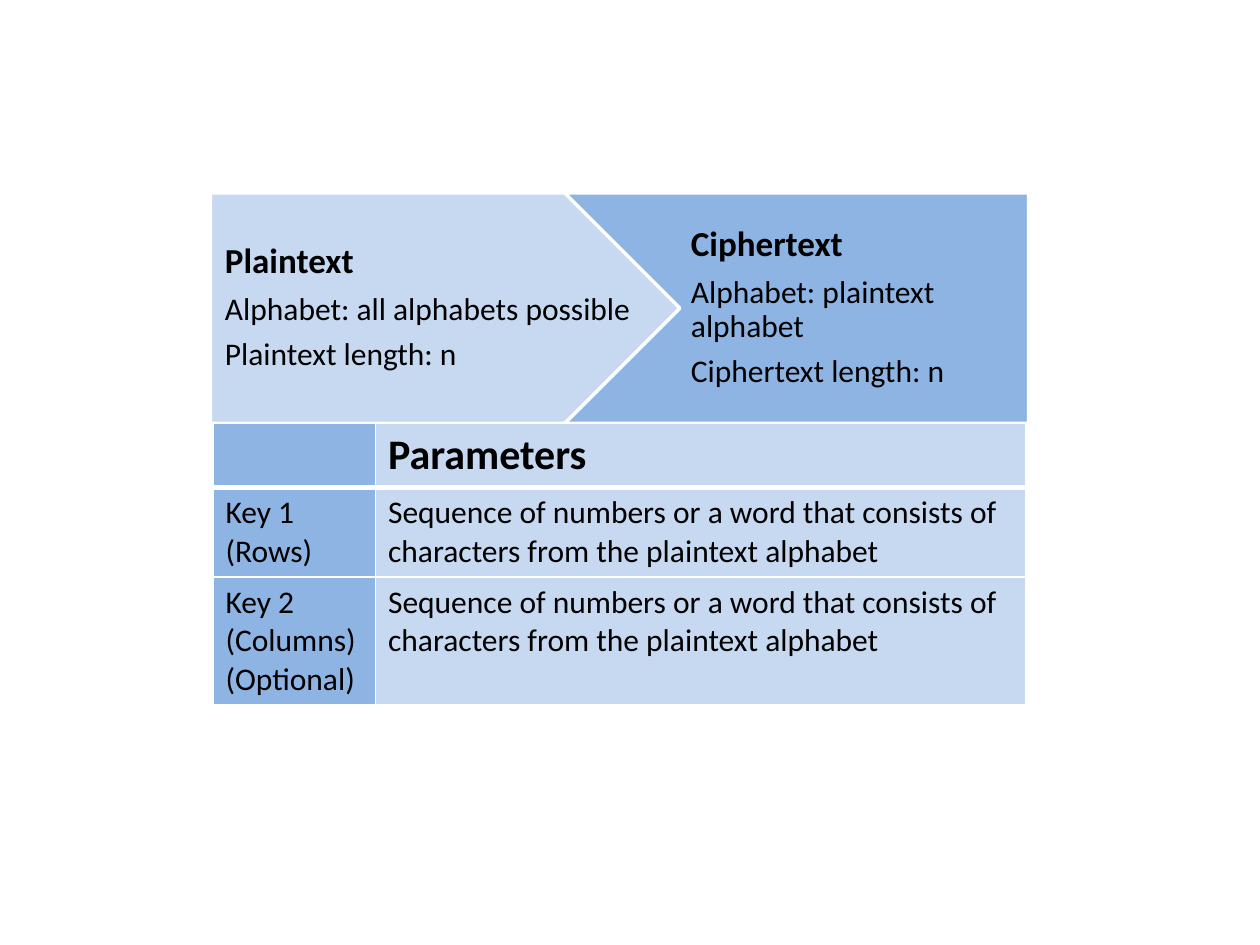
from dataclasses import dataclass

from lxml import etree
from pptx import Presentation
from pptx import util as u
from pptx.dml import color
from pptx.enum import shapes, text
from pptx.oxml import ns

COLORS = {"light": "C6D9F1", "mid": "8EB4E3", "white": "FFFFFF", "black": "000000"}
FONT = "Calibri"
BODY_SIZE = 18
THIN, THICK = 0.96, 3


@dataclass
class Arrow:
    kind: shapes.MSO_SHAPE
    left: float
    width: float
    fill: str
    left_inset: float
    title: str
    details: list[str]


@dataclass
class Row:
    height: float
    key: str
    value: str
    size: int = BODY_SIZE
    bold: bool = False
    top: float = THIN
    bottom: float = THIN


ARROW_TOP, ARROW_HEIGHT = 110.2, 131.8
ARROWS = [
    Arrow(shapes.MSO_SHAPE.PENTAGON, 120.2, 283.7, "light", 8.4, "Plaintext",
          ["Alphabet: all alphabets possible", "Plaintext length: n"]),
    Arrow(shapes.MSO_SHAPE.CHEVRON, 322.6, 331.9, "mid", 6.3, "Ciphertext",
          ["Alphabet: plaintext alphabet", "Ciphertext length: n"]),
]

KEY_RULE = ("Sequence of numbers or a word that consists of "
            "characters from the plaintext alphabet")
COLUMNS = [92.9, 371.6]
ROWS = [
    Row(33.8, "", "Parameters", size=24, bold=True, bottom=THICK),
    Row(29.5, "Key 1\n(Rows)", KEY_RULE, top=THICK),
    Row(29.5, "Key 2\n(Columns)\n(Optional)", KEY_RULE),
]


def rgb(name: str) -> color.RGBColor:
    return color.RGBColor.from_string(COLORS[name])


def write(para, words: str, size: float, bold: bool = False) -> None:
    para.text = words
    para.alignment = text.PP_ALIGN.LEFT
    para.font.name = FONT
    para.font.size = u.Pt(size)
    para.font.bold = bold
    para.font.color.rgb = rgb("black")


def draw_arrow(group, arrow: Arrow) -> None:
    shape = group.shapes.add_shape(arrow.kind, u.Pt(arrow.left), u.Pt(ARROW_TOP),
                                   u.Pt(arrow.width), u.Pt(ARROW_HEIGHT))
    shape.adjustments[0] = 0.5
    shape.shadow.inherit = False
    shape.fill.solid()
    shape.fill.fore_color.rgb = rgb(arrow.fill)
    shape.line.color.rgb = rgb("white")
    shape.line.width = u.Pt(2)

    frame = shape.text_frame
    frame.word_wrap = True
    frame.vertical_anchor = text.MSO_ANCHOR.MIDDLE
    frame.margin_left, frame.margin_right = u.Pt(arrow.left_inset), u.Pt(2.1)
    frame.margin_top = frame.margin_bottom = u.Pt(4.2)
    for index, words in enumerate([arrow.title, *arrow.details]):
        is_title = index == 0
        para = frame.paragraphs[0] if is_title else frame.add_paragraph()
        write(para, words, 20 if is_title else BODY_SIZE, is_title)
        para.line_spacing = 0.9
        para.space_after = u.Pt(7 if is_title else 6.3)


def add_borders(cell, row: Row) -> None:
    properties = cell._tc.get_or_add_tcPr()
    for side, width in zip("LRTB", (THIN, THIN, row.top, row.bottom)):
        line = etree.SubElement(properties, ns.qn(f"a:ln{side}"), w=str(int(u.Pt(width))))
        fill = etree.SubElement(line, ns.qn("a:solidFill"))
        etree.SubElement(fill, ns.qn("a:srgbClr"), val=COLORS["white"])


def draw_table(page, rows: list[Row]) -> None:
    table = page.shapes.add_table(
        len(rows), len(COLUMNS), u.Pt(121.7), u.Pt(ARROW_TOP + ARROW_HEIGHT),
        u.Pt(sum(COLUMNS)), u.Pt(sum(row.height for row in rows))).table
    table.first_row = table.horz_banding = False
    for column, width in zip(table.columns, COLUMNS):
        column.width = u.Pt(width)
    for index, row in enumerate(rows):
        table.rows[index].height = u.Pt(row.height)
        for cell, words, fill in zip(table.rows[index].cells,
                                     (row.key, row.value), ("mid", "light")):
            # Borders go before the fill in the cell properties
            add_borders(cell, row)
            cell.fill.solid()
            cell.fill.fore_color.rgb = rgb(fill)
            write(cell.text_frame.paragraphs[0], words, row.size, row.bold)


def main() -> None:
    deck = Presentation()
    deck.slide_width, deck.slide_height = u.Pt(720), u.Pt(540)
    page = deck.slides.add_slide(deck.slide_layouts[6])

    # Plaintext to ciphertext arrows
    group = page.shapes.add_group_shape()
    for arrow in ARROWS:
        draw_arrow(group, arrow)

    # White block that squares off the chevron's tip
    cover = page.shapes.add_shape(shapes.MSO_SHAPE.RECTANGLE, u.Pt(586.8), u.Pt(82.8),
                                  u.Pt(67.7), u.Pt(175.7))
    cover.shadow.inherit = False
    cover.fill.solid()
    cover.fill.fore_color.rgb = rgb("white")
    cover.line.fill.background()

    # Key parameters
    draw_table(page, ROWS)

    deck.save("out.pptx")


if __name__ == "__main__":
    main()
